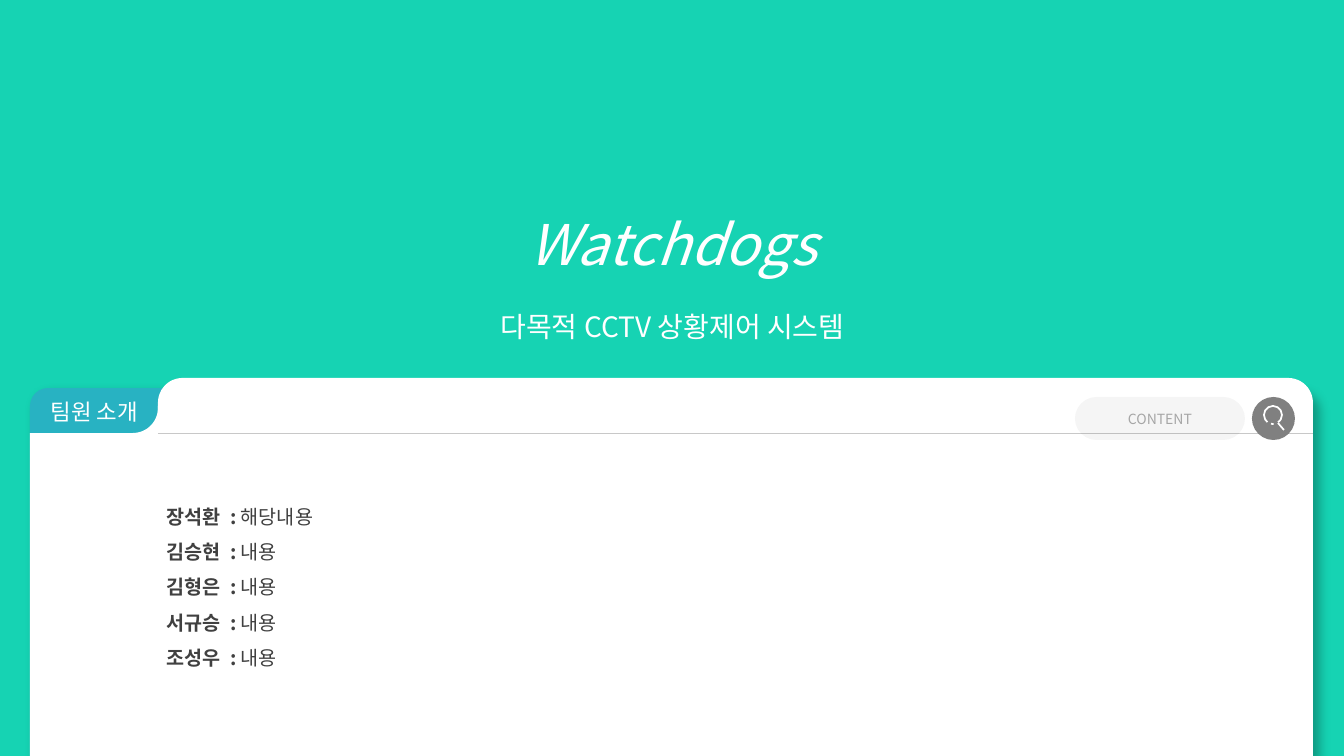
import math
import pptx
import pptx.util
import pptx.dml.color
import pptx.enum.shapes
import pptx.enum.text
import pptx.oxml
import pptx.oxml.ns

KIND = pptx.enum.shapes.MSO_SHAPE
ALIGN = pptx.enum.text.PP_ALIGN
ANCHOR = pptx.enum.text.MSO_ANCHOR
FIT = pptx.enum.text.MSO_AUTO_SIZE
FONT = "Noto Sans CJK KR"
SPACE = pptx.oxml.ns.nsdecls("a")
WHITE = "FFFFFF"


def px(n):
    """Turn pixels into EMU."""
    return pptx.util.Emu(round(n * 914400 / 100.8))


def hue(code):
    """Turn a hex string into a colour."""
    return pptx.dml.color.RGBColor.from_string(code)


def node(xml):
    """Build a drawing element from its XML."""
    return pptx.oxml.parse_xml(xml)


def write(para, text, size=14, color=WHITE, bold=False, italic=False,
          align=ALIGN.LEFT, gap=1.0):
    """Add a formatted run to a paragraph."""
    para.alignment = align
    para.line_spacing = gap
    run = para.add_run()
    run.text = text
    font = run.font
    font.name, font.size = FONT, pptx.util.Pt(size)
    font.bold, font.italic = bold, italic
    font.color.rgb = hue(color)
    latin = run._r.rPr.find(pptx.oxml.ns.qn("a:latin"))
    latin.addnext(node(f'<a:ea {SPACE} typeface="{FONT}"/>'))


class Page:
    """The style and the current slide."""

    def __init__(self, deck, back):
        """Add a title-only slide with a plain background."""
        self.slide = deck.slides.add_slide(deck.slide_layouts[5])
        self.shapes = self.slide.shapes
        fill = self.slide.background.fill
        fill.solid()
        fill.fore_color.rgb = hue(back)

    def paint(self, item, fill=None, line=None, alpha=None):
        """Set fill and line, without a shadow."""
        item.shadow.inherit = False
        if fill:
            item.fill.solid()
            item.fill.fore_color.rgb = hue(fill)
            if alpha:
                tint = item.fill._xPr.find(".//" + pptx.oxml.ns.qn("a:srgbClr"))
                tint.append(node(f'<a:alpha {SPACE} val="{alpha * 1000}"/>'))
        else:
            item.fill.background()
        if line:
            item.line.color.rgb = hue(line)
            item.line.width = pptx.util.Pt(1.25)
        else:
            item.line.fill.background()
        return item

    def shape(self, kind, box, adjust=(), **look):
        """Add a preset shape."""
        item = self.shapes.add_shape(kind, *map(px, box))
        for i, value in enumerate(adjust):
            item.adjustments[i] = value
        return self.paint(item, **look)

    def outline(self, points, **look):
        """Add a closed outline."""
        spots = [(px(x), px(y)) for x, y in points]
        pen = self.shapes.build_freeform(*spots[0], scale=1.0)
        pen.add_line_segments(spots[1:], close=True)
        return self.paint(pen.convert_to_shape(), **look)

    def line(self, start, end, color, width):
        """Add a straight line."""
        item = self.shapes.add_connector(
            pptx.enum.shapes.MSO_CONNECTOR.STRAIGHT, *map(px, start + end))
        item.line.color.rgb = hue(color)
        item.line.width = pptx.util.Pt(width)
        item._element.spPr.append(node(f"<a:effectLst {SPACE}/>"))

    def shade(self, item):
        """Give a shape a soft shadow to the lower right."""
        glow = item._element.spPr.find(pptx.oxml.ns.qn("a:effectLst"))
        glow.append(node(
            f'<a:outerShdw {SPACE} blurRad="101600" dist="76200" dir="2700000" '
            'algn="tl" rotWithShape="0"><a:srgbClr val="000000">'
            '<a:alpha val="28000"/></a:srgbClr></a:outerShdw>'))

    def frame(self, item):
        """Prepare the text frame of a box."""
        body = item.text_frame
        body.word_wrap = True
        body.auto_size = FIT.SHAPE_TO_FIT_TEXT
        body.vertical_anchor = ANCHOR.TOP
        return body

    def text(self, box):
        """Add a text box and return its frame."""
        return self.frame(self.shapes.add_textbox(*map(px, box)))

    def title(self, box):
        """Place the title and return its frame."""
        item = self.shapes.title
        item.left, item.top, item.width, item.height = map(px, box)
        return self.frame(item)


def bend(x, y, r):
    """List the points of a lower right quarter circle, bottom first."""
    turns = [math.radians(90 - step * 5) for step in range(19)]
    return [(x + r * math.cos(t), y + r * math.sin(t)) for t in turns]


deck = pptx.Presentation()
deck.slide_width, deck.slide_height = px(1344), px(756)
page = Page(deck, "16D3B3")

head = page.title((367, 204, 611, 135))
write(head.paragraphs[0], "Watchdogs", size=40, italic=True, align=ALIGN.CENTER)
write(head.add_paragraph(), "다목적 CCTV 상황제어 시스템", size=20,
      align=ALIGN.CENTER, gap=2.0)

# Panel with its tab
TOP = KIND.ROUND_2_SAME_RECTANGLE
page.shade(page.shape(TOP, (30, 388, 1283, 368), (0.049, 0), fill="28B2C2"))
page.shape(TOP, (30, 433, 1283, 323), (0, 0), fill=WHITE)
page.outline(bend(165, 408, 25) + [(190, 406), (158, 406)]
             + bend(133, 408, 25)[::-1], fill=WHITE)
page.shape(TOP, (158, 378, 1155, 55), (0.448, 0), fill=WHITE)
page.line((158, 433), (1313, 433), "C8C8C8", 0.5)
tab = page.text((33, 393, 123, 37))
write(tab.paragraphs[0], "팀원 소개", size=16, align=ALIGN.CENTER)

# Search bar
pill = page.shape(KIND.ROUNDED_RECTANGLE, (1075, 397, 170, 43), (0.5,),
                  fill="000000", alpha=4)
pill.text_frame.vertical_anchor = ANCHOR.MIDDLE
write(pill.text_frame.paragraphs[0], "CONTENT", size=10, color="A6A6A6",
      align=ALIGN.CENTER)
page.shape(KIND.OVAL, (1252, 397, 43, 43), fill="808080")
for sweep in ((76.615, 32.909), (51.71, 61.635)):
    page.shape(KIND.ARC, (1264, 406, 18, 18), sweep, line=WHITE)
page.line((1278, 423), (1284, 430), WHITE, 1.25)

# Team members
team = {"장석환": "해당내용", "김승현": "내용", "김형은": "내용",
        "서규승": "내용", "조성우": "내용"}
body = page.text((157, 488, 1006, 183))
for i, (name, role) in enumerate(team.items()):
    para = body.add_paragraph() if i else body.paragraphs[0]
    write(para, f"{name}  : ", color="404040", bold=True, gap=1.5)
    write(para, role, color="404040", gap=1.5)

deck.save("out.pptx")
